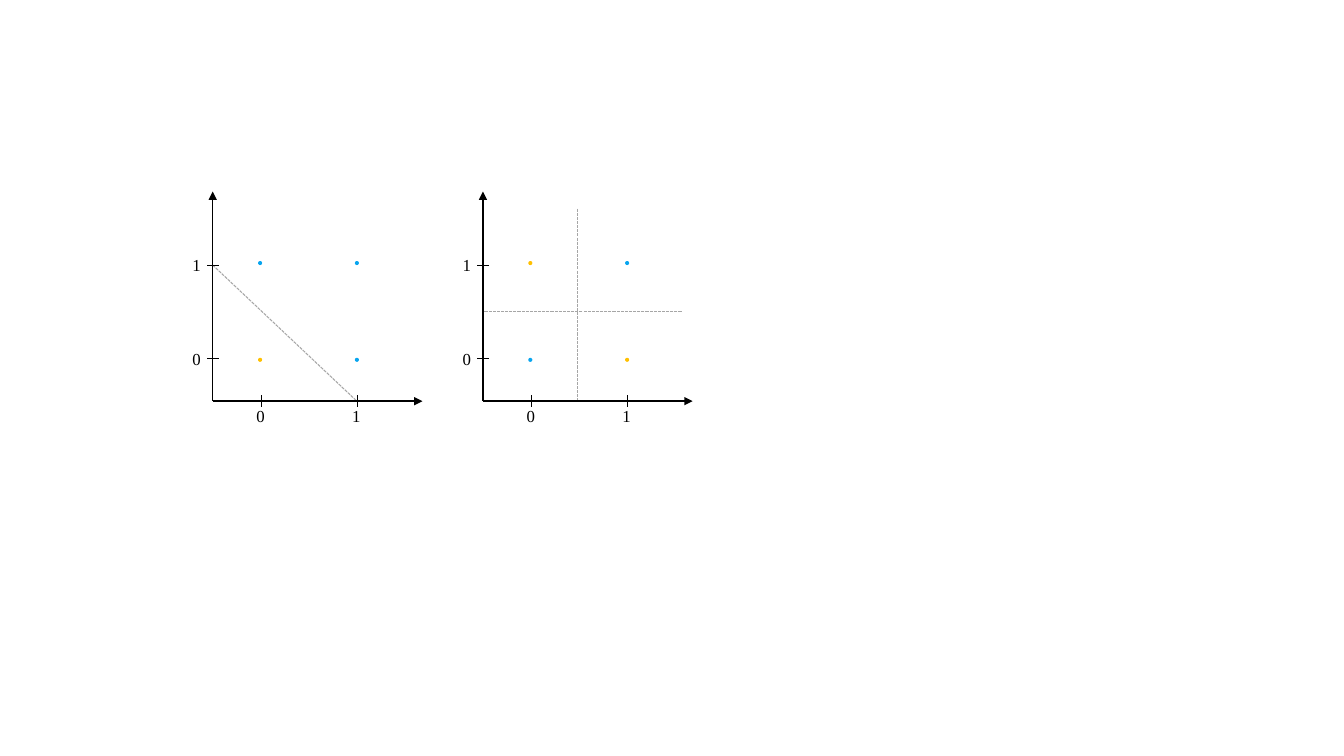
from dataclasses import dataclass
from typing import Any

from lxml import etree
from pptx import Presentation, util as u
from pptx.dml import color
from pptx.enum import dml, shapes, text
from pptx.oxml import ns

COLORS = {"blue": "08A5EF", "yellow": "FFC000", "black": "000000", "gray": "A6A6A6"}
AXIS_Y = 3.98
AXIS_TOP = 1.9
AXIS_LENGTH = 2.08
TICK_HALF = 0.06
TICK_X = (0.48, 1.43)
TICK_Y = (3.56, 2.63)
DOT_SIZE = 0.04
DOT_LEFT = (0.45, 1.41)
DOT_TOP = (3.55, 2.59)
LABEL_WIDTH = 0.29
LABEL_HEIGHT = 0.3
LABEL_FONT = {"name": "Times New Roman", "size": u.Pt(12)}
LABEL_FRAME = {"word_wrap": False, "auto_size": text.MSO_AUTO_SIZE.SHAPE_TO_FIT_TEXT}


@dataclass(frozen=True)
class Segment:
    start: tuple[float, float]
    end: tuple[float, float]
    color: str = "black"
    width: float = 0.5
    dashed: bool = False
    arrow: bool = False


@dataclass(frozen=True)
class Plot:
    left: float
    dots: dict[tuple[int, int], str]
    boundaries: tuple[Segment, ...]


def boundary(start: tuple[float, float], end: tuple[float, float]) -> Segment:
    return Segment(start, end, "gray", 0.75, dashed=True)


PLOTS = (
    Plot(
        2.11,
        {(0, 1): "blue", (0, 0): "yellow", (1, 0): "blue", (1, 1): "blue"},
        (boundary((0, TICK_Y[1]), (TICK_X[1], AXIS_Y)),),
    ),
    Plot(
        4.79,
        {(0, 1): "yellow", (0, 0): "blue", (1, 0): "yellow", (1, 1): "blue"},
        (
            boundary((0.94, 2.07), (0.94, AXIS_Y)),
            boundary((1.97, 3.09), (0.01, 3.09)),
        ),
    ),
)


def apply(target: Any, values: dict[str, Any]) -> None:
    for name, value in values.items():
        setattr(target, name, value)


def rgb(name: str) -> color.RGBColor:
    return color.RGBColor.from_string(COLORS[name])


def draw_segment(slide: Any, left: float, segment: Segment) -> None:
    (x1, y1), (x2, y2) = segment.start, segment.end
    connector = slide.shapes.add_connector(
        shapes.MSO_CONNECTOR.STRAIGHT,
        u.Inches(left + x1), u.Inches(y1), u.Inches(left + x2), u.Inches(y2),
    )
    line = connector.line
    line.color.rgb = rgb(segment.color)
    line.width = u.Pt(segment.width)
    if segment.dashed:
        line.dash_style = dml.MSO_LINE.SQUARE_DOT
    properties = connector._element.spPr
    if segment.arrow:
        outline = properties.find(ns.qn("a:ln"))
        etree.SubElement(outline, ns.qn("a:tailEnd"), type="triangle")
    etree.SubElement(properties, ns.qn("a:effectLst"))


def draw_dot(slide: Any, left: float, top: float, color_name: str) -> None:
    dot = slide.shapes.add_shape(
        shapes.MSO_SHAPE.OVAL,
        u.Inches(left), u.Inches(top), u.Inches(DOT_SIZE), u.Inches(DOT_SIZE),
    )
    dot.shadow.inherit = False
    dot.fill.solid()
    dot.fill.fore_color.rgb = rgb(color_name)
    dot.line.fill.background()


def draw_label(slide: Any, left: float, top: float, value: int) -> None:
    box = slide.shapes.add_textbox(
        u.Inches(left), u.Inches(top), u.Inches(LABEL_WIDTH), u.Inches(LABEL_HEIGHT)
    )
    apply(box.text_frame, LABEL_FRAME)
    paragraph = box.text_frame.paragraphs[0]
    run = paragraph.add_run()
    run.text = str(value)
    apply(run.font, LABEL_FONT)
    run.font.color.rgb = rgb("black")


def draw_plot(slide: Any, plot: Plot) -> None:
    axes = [
        Segment((0, AXIS_Y), end, width=1, arrow=True)
        for end in ((0, AXIS_TOP), (AXIS_LENGTH, AXIS_Y))
    ]
    ticks = [Segment((x, AXIS_Y - TICK_HALF), (x, AXIS_Y + TICK_HALF)) for x in TICK_X]
    ticks += [Segment((TICK_HALF, y), (-TICK_HALF, y)) for y in TICK_Y]
    for segment in (*plot.boundaries, *axes, *ticks):
        draw_segment(slide, plot.left, segment)
    for (column, row), color_name in plot.dots.items():
        draw_dot(slide, plot.left + DOT_LEFT[column], DOT_TOP[row], color_name)
    for value, (x, y) in enumerate(zip(TICK_X, TICK_Y)):
        draw_label(slide, plot.left + x - LABEL_WIDTH / 2, AXIS_Y, value)
        draw_label(slide, plot.left - 0.3, y - LABEL_HEIGHT / 2, value)


def main() -> None:
    presentation = Presentation()
    apply(presentation, {"slide_width": u.Inches(13.33), "slide_height": u.Inches(7.5)})
    slide = presentation.slides.add_slide(presentation.slide_layouts[6])
    for plot in PLOTS:
        draw_plot(slide, plot)
    presentation.save("out.pptx")


if __name__ == "__main__":
    main()
